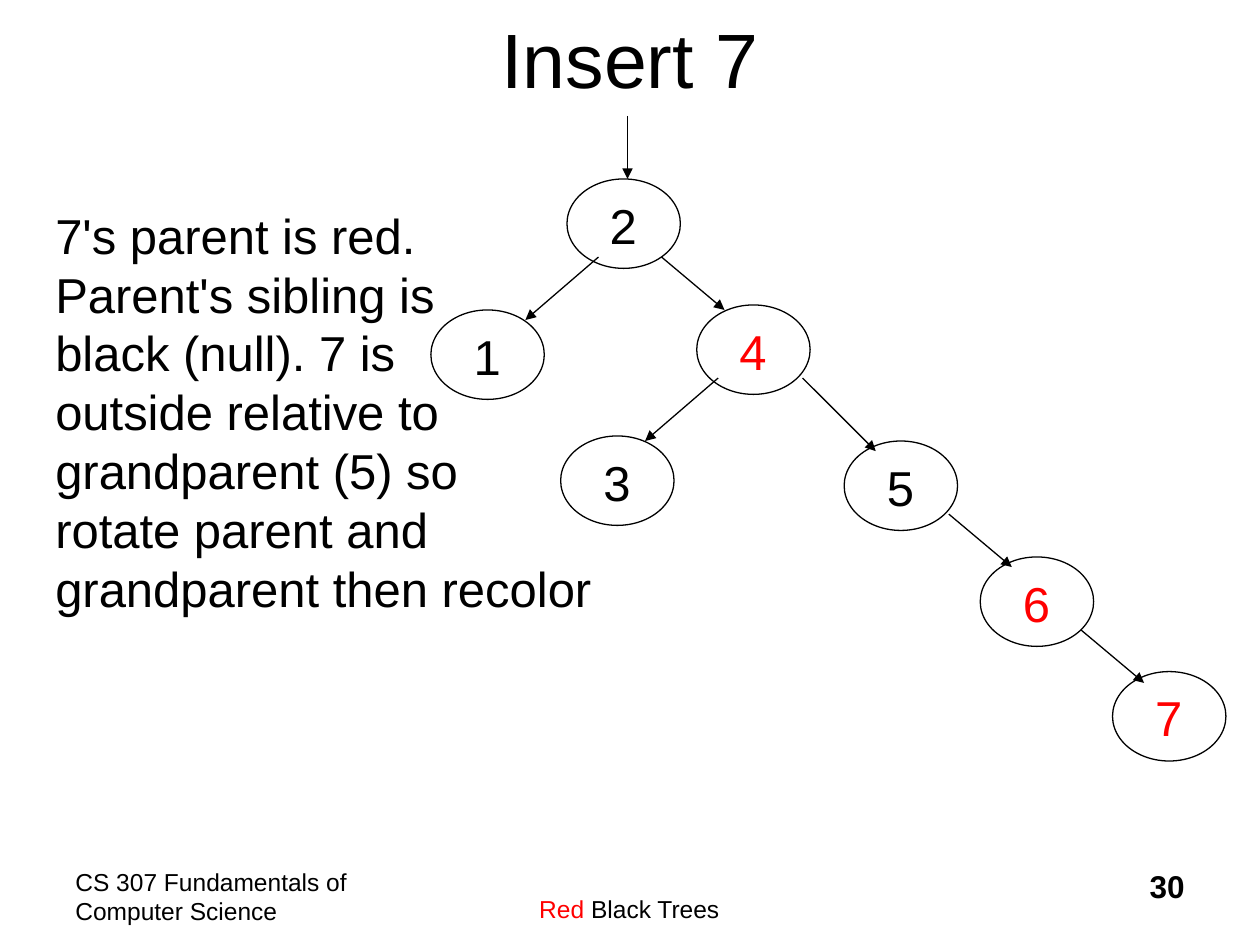
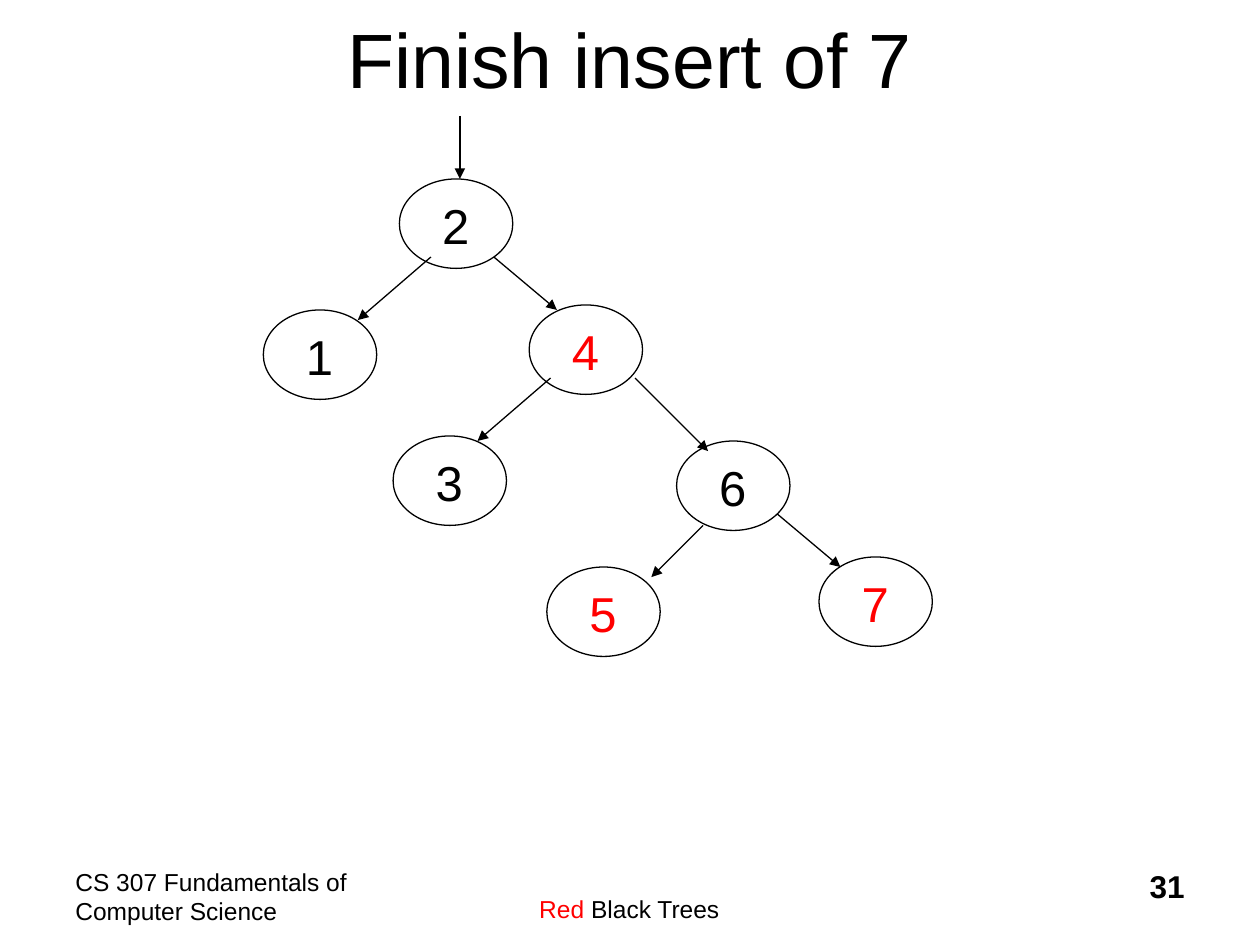
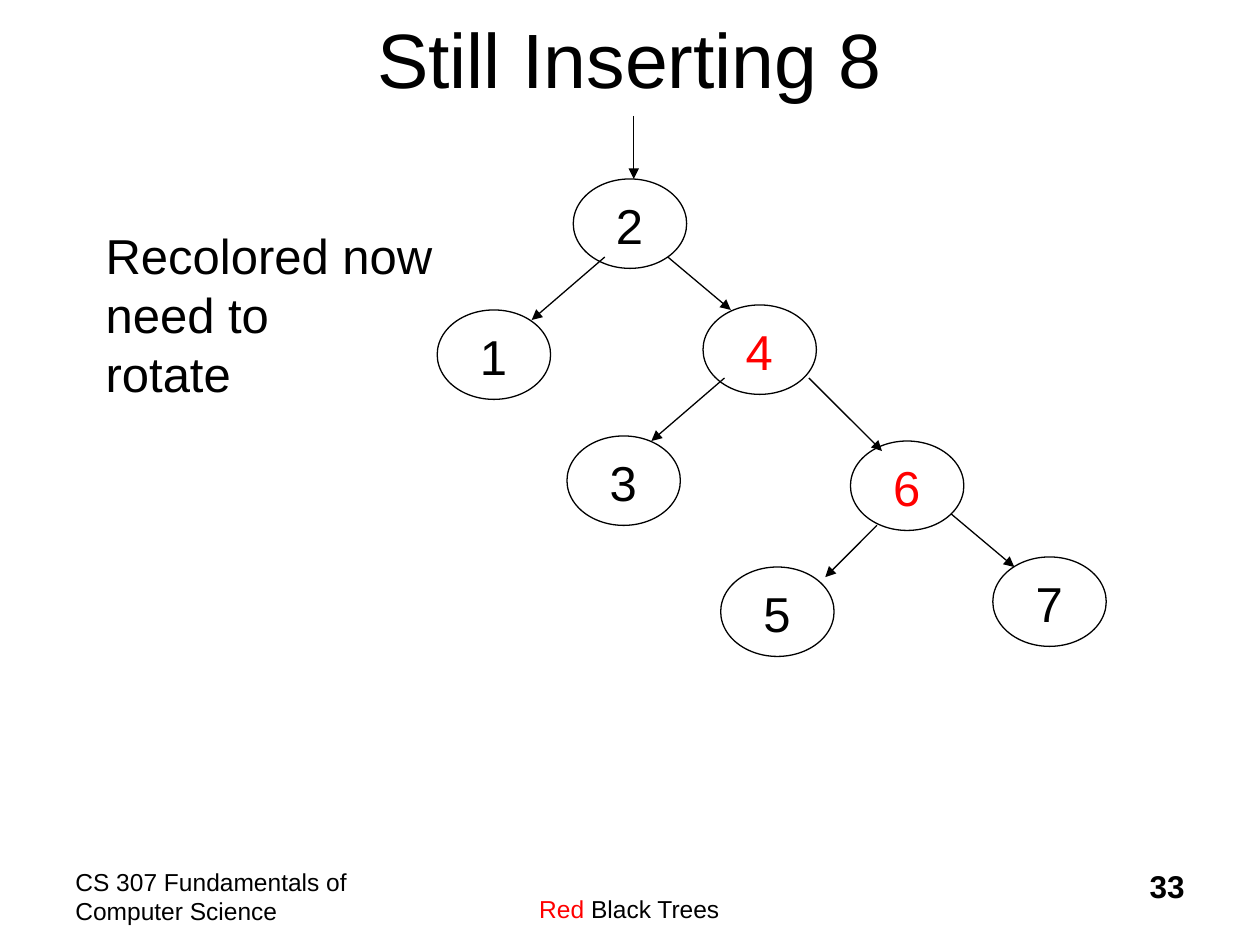
"""Build three slides that follow insertions into a red black tree."""
from dataclasses import dataclass
from typing import Any, NamedTuple

from lxml import etree
from pptx import Presentation
from pptx.dml.color import RGBColor
from pptx.enum.shapes import MSO_CONNECTOR, MSO_SHAPE
from pptx.enum.text import MSO_ANCHOR, MSO_AUTO_SIZE, PP_ALIGN
from pptx.oxml.ns import qn
from pptx.util import Inches, Pt

BLACK = RGBColor(0x00, 0x00, 0x00)
RED = RGBColor(0xFF, 0x00, 0x00)
FONT = "Arial"
LINE_WIDTH = Pt(0.74)
ELLIPSE = MSO_SHAPE.OVAL
STRAIGHT = MSO_CONNECTOR.STRAIGHT
LEFT, CENTER, RIGHT = PP_ALIGN.LEFT, PP_ALIGN.CENTER, PP_ALIGN.RIGHT
MIDDLE = MSO_ANCHOR.MIDDLE
GROW = MSO_AUTO_SIZE.SHAPE_TO_FIT_TEXT

NODE_WIDTH, NODE_HEIGHT = 0.9, 0.71
LABEL_DX, LABEL_DY = 0.24, 0.08
LABEL_WIDTH, LABEL_HEIGHT = 0.41, 0.57

TITLE_FRAME = {"word_wrap": True, "vertical_anchor": MIDDLE}
FOOTER_FRAME = {"word_wrap": True}
SECOND_LINE_FRAME = {"word_wrap": True, "margin_top": Inches(0.29), "margin_bottom": 0}
BODY_FRAME = {"word_wrap": False, "auto_size": GROW}
BODY_PARAGRAPH = {"alignment": LEFT, "space_before": Pt(7)}


class Box(NamedTuple):
    """Left, top, width and height in inches."""

    left: float
    top: float
    width: float
    height: float


class Slot(NamedTuple):
    """Place of a node and of the arrow into it, across from the root's left edge."""

    left: float
    top: float
    start: tuple[float, float]
    end: tuple[float, float]


class Node(NamedTuple):
    """A key in the tree with its slot and its colour."""

    key: str
    slot: Slot
    color: RGBColor = BLACK


class Piece(NamedTuple):
    """A stretch of text in one colour."""

    text: str
    color: RGBColor = BLACK


@dataclass(frozen=True)
class Note:
    """An explanation beside the tree."""

    box: Box
    lines: tuple[str, ...]


@dataclass(frozen=True)
class Step:
    """One slide of the insertion."""

    title: str
    number: int
    root_left: float
    nodes: tuple[Node, ...]
    note: Note | None = None


ROOT = Slot(0, 1.42, (0.48, 0.92), (0.48, 1.42))
LOW = Slot(-1.08, 2.46, (0.25, 2.04), (-0.33, 2.54))
HIGH = Slot(1.03, 2.42, (0.75, 2.04), (1.25, 2.46))
HIGH_LOW = Slot(-0.05, 3.46, (1.2, 3), (0.62, 3.5))
HIGH_HIGH = Slot(2.2, 3.5, (1.87, 3), (2.45, 3.58))
INNER = Slot(1.17, 4.5, (2.41, 4.17), (2, 4.58))
OUTER = Slot(3.33, 4.42, (3, 4.08), (3.5, 4.5))
CHAIN = Slot(3.28, 4.42, (3.03, 4.08), (3.53, 4.5))
CHAIN_END = Slot(4.33, 5.33, (4.08, 5), (4.58, 5.42))

UPPER_NODES = (
    Node("2", ROOT), Node("1", LOW), Node("4", HIGH, RED), Node("3", HIGH_LOW),
)

STEPS = (
    Step(
        "Insert 7", 30, 4.5,
        UPPER_NODES + (
            Node("5", HIGH_HIGH), Node("6", CHAIN, RED), Node("7", CHAIN_END, RED),
        ),
        Note(Box(0.34, 1.58, 4.45, 3.37), (
            "7's parent is red.", "Parent's sibling is", "black (null). 7 is",
            "outside relative to", "grandparent (5) so ", "rotate parent and ",
            "grandparent then recolor",
        )),
    ),
    Step(
        "Finish insert of 7", 31, 3.17,
        UPPER_NODES + (
            Node("6", HIGH_HIGH), Node("5", INNER, RED), Node("7", OUTER, RED),
        ),
    ),
    Step(
        "Still Inserting 8", 33, 4.55,
        UPPER_NODES + (
            Node("6", HIGH_HIGH, RED), Node("5", INNER), Node("7", OUTER),
        ),
        Note(Box(0.74, 1.74, 2.79, 1.5), ("Recolored now", "need to", "rotate")),
    ),
)


def apply(target: Any, formats: dict[str, Any]) -> None:
    """Set each named attribute of the target."""
    for name, value in formats.items():
        setattr(target, name, value)


def add_text(
    shapes: Any, box: Box, lines: tuple[tuple[Piece, ...], ...], size: float,
    frame: dict[str, Any], paragraph: dict[str, Any], bold: bool = False,
) -> None:
    """Add a text box with one paragraph broken into lines."""
    text_frame = shapes.add_textbox(*map(Inches, box)).text_frame
    apply(text_frame, frame)
    body = text_frame.paragraphs[0]
    apply(body, paragraph)
    for index, pieces in enumerate(lines):
        if index:
            body.add_line_break()
        for piece in pieces:
            run = body.add_run()
            run.text = piece.text
            apply(run.font, {"name": FONT, "size": Pt(size), "bold": bold})
            run.font.color.rgb = piece.color


def outline(shape: Any) -> None:
    """Give a shape or connector the thin black line."""
    shape.line.color.rgb = BLACK
    shape.line.width = LINE_WIDTH


def add_node(slide: Any, node: Node, root_left: float) -> None:
    """Draw a key in its ellipse as one group."""
    left, top = root_left + node.slot.left, node.slot.top
    group = slide.shapes.add_group_shape()
    ellipse = group.shapes.add_shape(
        ELLIPSE, *map(Inches, (left, top, NODE_WIDTH, NODE_HEIGHT))
    )
    ellipse.shadow.inherit = False
    ellipse.fill.background()
    outline(ellipse)
    label = Box(left + LABEL_DX, top + LABEL_DY, LABEL_WIDTH, LABEL_HEIGHT)
    key = ((Piece(node.key, node.color),),)
    add_text(group.shapes, label, key, 28, BODY_FRAME, BODY_PARAGRAPH)


def add_arrow(slide: Any, slot: Slot, root_left: float) -> None:
    """Draw the arrow that leads into a slot."""
    (start_x, start_y), (end_x, end_y) = slot.start, slot.end
    ends = (root_left + start_x, start_y, root_left + end_x, end_y)
    arrow = slide.shapes.add_connector(STRAIGHT, *map(Inches, ends))
    outline(arrow)
    etree.SubElement(arrow.line._get_or_add_ln(), qn("a:tailEnd"), type="triangle")
    etree.SubElement(arrow._element.spPr, qn("a:effectLst"))


def add_footer(slide: Any, number: int) -> None:
    """Write the course, the topic and the slide number."""
    course = ((Piece("CS 307 Fundamentals of Computer Science"),),)
    topic = ((Piece("Red", RED), Piece(" Black Trees")),)
    add_text(slide.shapes, Box(0.5, 6.83, 2.5, 0.5), course, 14,
             FOOTER_FRAME, {"alignment": LEFT})
    add_text(slide.shapes, Box(3.08, 6.83, 3.83, 0.5), topic, 14,
             SECOND_LINE_FRAME, {"alignment": CENTER})
    add_text(slide.shapes, Box(7.42, 6.83, 2.08, 0.5), ((Piece(str(number)),),), 18,
             FOOTER_FRAME, {"alignment": RIGHT}, bold=True)


def add_step(deck: Any, step: Step) -> None:
    """Add the slide of one step."""
    slide = deck.slides.add_slide(deck.slide_layouts[6])
    add_footer(slide, step.number)
    add_text(slide.shapes, Box(0.75, -0.17, 8.5, 1.25), ((Piece(step.title),),), 44,
             TITLE_FRAME, {"alignment": CENTER})
    for node in step.nodes:
        add_node(slide, node, step.root_left)
        add_arrow(slide, node.slot, step.root_left)
    if step.note:
        lines = tuple((Piece(line),) for line in step.note.lines)
        add_text(slide.shapes, step.note.box, lines, 28, BODY_FRAME, BODY_PARAGRAPH)


def main() -> None:
    """Build and save the deck."""
    deck = Presentation()
    apply(deck, {"slide_width": Inches(10), "slide_height": Inches(7.5)})
    for step in STEPS:
        add_step(deck, step)
    deck.save("out.pptx")


main()
